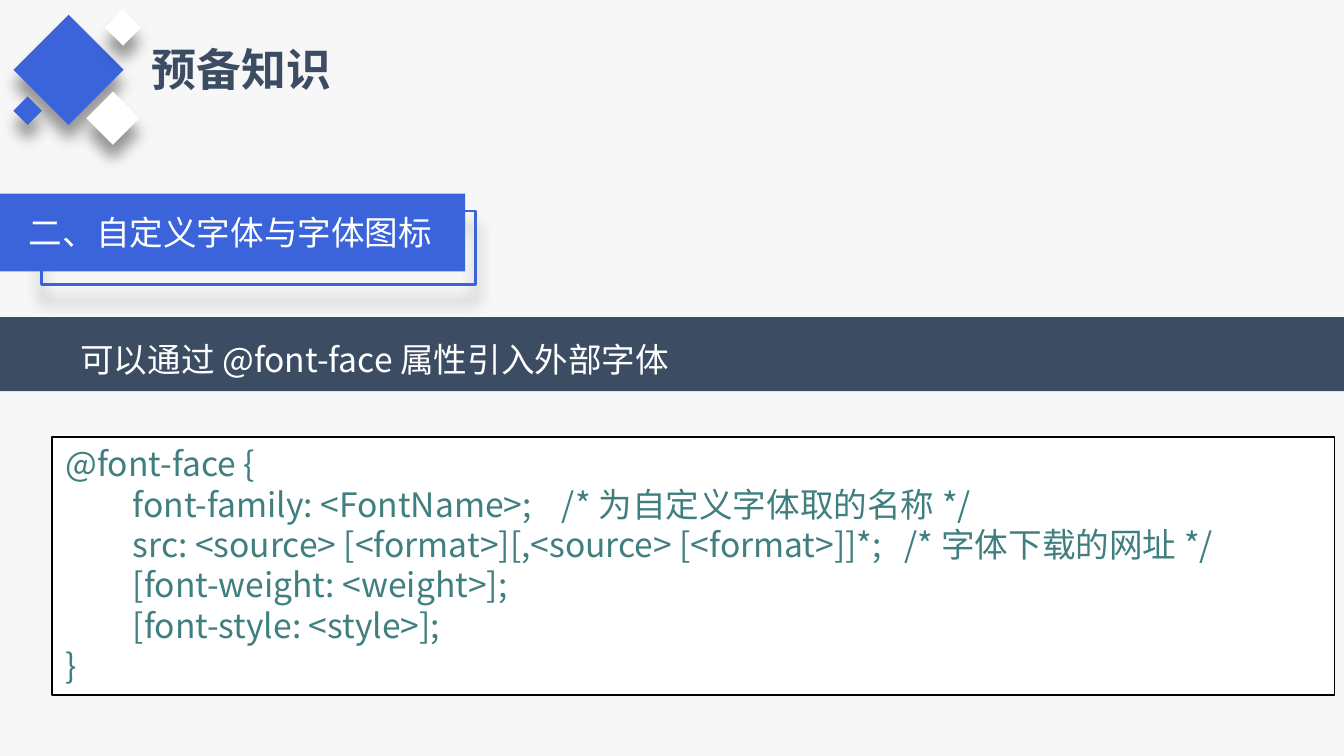
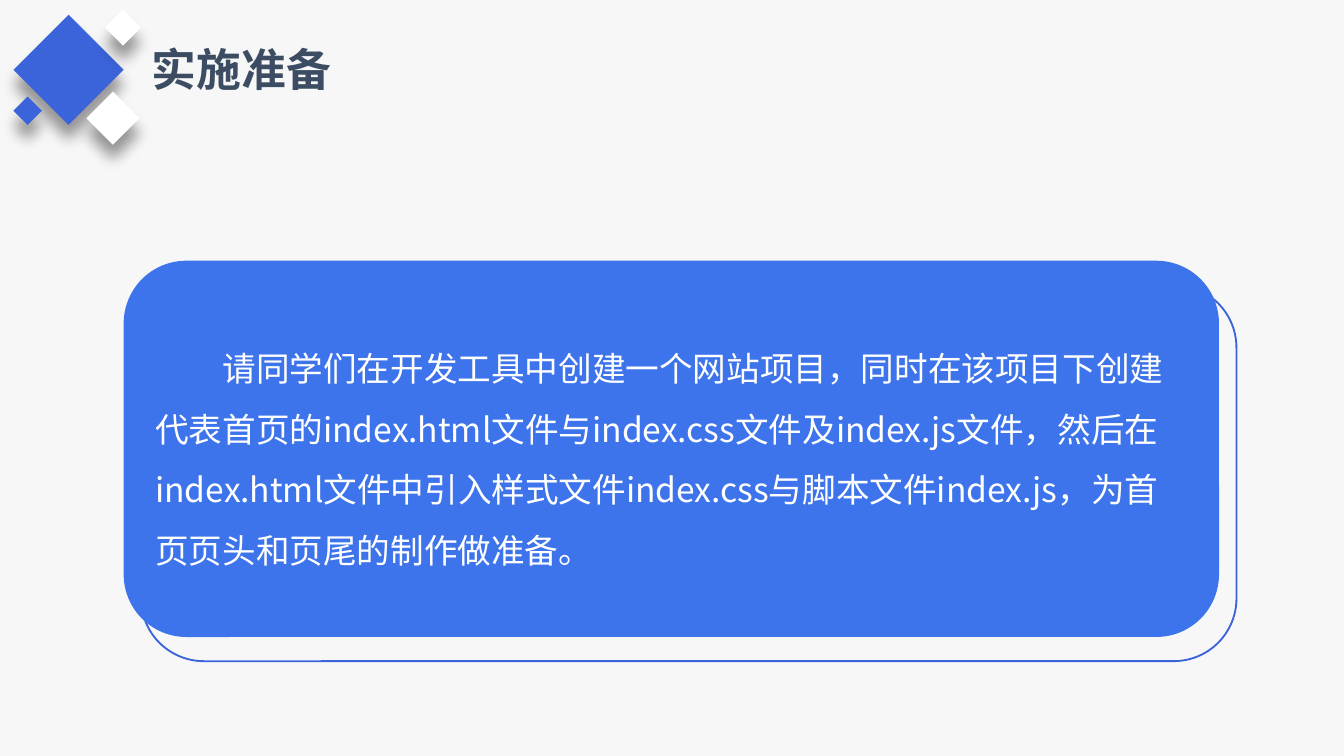
from lxml.etree import SubElement
from pptx import Presentation
from pptx.dml.color import RGBColor
from pptx.enum.shapes import MSO_SHAPE
from pptx.enum.text import MSO_ANCHOR, MSO_AUTO_SIZE, PP_ALIGN
from pptx.oxml.ns import qn
from pptx.util import Inches, Pt

FONT = "Noto Sans CJK SC"
BLUE = RGBColor(0x3B, 0x64, 0xDA)
BRIGHT_BLUE = RGBColor(0x3D, 0x74, 0xEB)
NAVY = RGBColor(0x3C, 0x4D, 0x63)
TEAL = RGBColor(0x3F, 0x7F, 0x7F)
WHITE = RGBColor(0xFF, 0xFF, 0xFF)
BLACK = RGBColor(0, 0, 0)
PAPER = RGBColor(0xF7, 0xF7, 0xF7)

# left, top, side, colour of each diamond beside the title
DIAMONDS = [
    (0.22, 0.23, 0.58, BLUE),
    (0.7, 0.74, 0.28, WHITE),
    (0.82, 0.11, 0.19, WHITE),
    (0.13, 0.75, 0.15, BLUE),
]

KNOWLEDGE_TITLE = "预备知识"
SECTION = "二、自定义字体与字体图标"
STATEMENT = "可以通过 @font-face 属性引入外部字体"
# indent level, line of code
CODE = [
    (0, "@font-face {"),
    (1, "font-family: <FontName>;    /* 为自定义字体取的名称 */"),
    (1, "src: <source> [<format>][,<source> [<format>]]*;   /* 字体下载的网址 */"),
    (1, "[font-weight: <weight>];"),
    (1, "[font-style: <style>];"),
    (0, "}"),
]

PREPARATION_TITLE = "实施准备"
TASK = (
    "请同学们在开发工具中创建一个网站项目，同时在该项目下创建代表首页的"
    "index.html文件与index.css文件及index.js文件，然后在index.html文件中引入"
    "样式文件index.css与脚本文件index.js，为首页页头和页尾的制作做准备。"
)
CARD_SIZE = (8.15, 2.8)


def add_shadow(shape):
    """Give the shape a soft black shadow straight below it."""
    effects = shape._element.spPr.find(qn("a:effectLst"))
    shadow = SubElement(effects, qn("a:outerShdw"), blurRad=str(Pt(8)), dist=str(Pt(8)),
                        dir="5400000", algn="t", rotWithShape="0")
    colour = SubElement(shadow, qn("a:srgbClr"), val=str(BLACK))
    SubElement(colour, qn("a:alpha"), val="40000")


def add_panel(page, area, fill=None, line=None, line_width=1,
              kind=MSO_SHAPE.RECTANGLE, shadow=False):
    panel = page.shapes.add_shape(kind, *map(Inches, area))
    panel.shadow.inherit = False
    if fill is None:
        panel.fill.background()
    else:
        panel.fill.solid()
        panel.fill.fore_color.rgb = fill
    if line is None:
        panel.line.fill.background()
    else:
        panel.line.color.rgb = line
        panel.line.width = Pt(line_width)
    if shadow:
        add_shadow(panel)
    return panel


def format_text(paragraph, size, colour, bold=False, align=PP_ALIGN.LEFT):
    paragraph.alignment = align
    for span in paragraph.runs:
        span.font.size = Pt(size)
        span.font.bold = bold
        span.font.color.rgb = colour
        span.font.name = FONT
        SubElement(span.font._element, qn("a:ea"), typeface=FONT)


def write_body(panel, text, align=PP_ALIGN.LEFT):
    frame = panel.text_frame
    frame.word_wrap = True
    frame.vertical_anchor = MSO_ANCHOR.MIDDLE
    frame.text = text
    paragraph = frame.paragraphs[0]
    format_text(paragraph, 18, WHITE, align=align)
    return paragraph


def open_paragraph(paragraph):
    """Indent the first line and space the lines out."""
    paragraph.line_spacing = 1.5
    paragraph._p.get_or_add_pPr().set("indent", str(Inches(0.5)))


def add_page(deck, title):
    page = deck.slides.add_slide(deck.slide_layouts[5])
    box = page.shapes.title
    box.left, box.top, box.width, box.height = map(Inches, (1.03, 0.26, 1.54, 0.5))
    frame = box.text_frame
    frame.text = title
    frame.word_wrap = False
    frame.auto_size = MSO_AUTO_SIZE.SHAPE_TO_FIT_TEXT
    frame.vertical_anchor = MSO_ANCHOR.TOP
    format_text(frame.paragraphs[0], 24, NAVY, bold=True)
    for left, top, side, colour in DIAMONDS:
        diamond = add_panel(page, (left, top, side, side), fill=colour, shadow=True)
        diamond.rotation = 45
    return page


def add_code(page):
    panel = add_panel(page, (0.39, 3.25, 9.54, 1.92), fill=WHITE, line=BLACK)
    frame = panel.text_frame
    frame.word_wrap = True
    frame.auto_size = MSO_AUTO_SIZE.SHAPE_TO_FIT_TEXT
    frame.vertical_anchor = MSO_ANCHOR.TOP
    frame.text = "\n".join(line for _, line in CODE)
    for paragraph, (level, _) in zip(frame.paragraphs, CODE):
        format_text(paragraph, 18, TEAL)
        paragraph.level = level
        properties = paragraph._p.get_or_add_pPr()
        properties.set("marL", str(Inches(0.5 * level)))
        properties.set("indent", "0")


def add_knowledge_page(deck):
    page = add_page(deck, KNOWLEDGE_TITLE)
    add_panel(page, (0.31, 1.57, 3.23, 0.55), line=BLUE, line_width=1.5, shadow=True)
    section = add_panel(page, (-0.03, 1.44, 3.49, 0.58), fill=BLUE)
    write_body(section, SECTION, PP_ALIGN.CENTER)
    band = add_panel(page, (0, 2.36, 10, 0.55), fill=NAVY)
    band.text_frame.margin_bottom = Inches(0.12)
    open_paragraph(write_body(band, STATEMENT))
    add_code(page)


def add_preparation_page(deck):
    page = add_page(deck, PREPARATION_TITLE)
    rounded = MSO_SHAPE.ROUNDED_RECTANGLE
    outline = add_panel(page, (1.05, 2.12, *CARD_SIZE), line=BLUE, kind=rounded)
    page.shapes.title._element.addprevious(outline._element)
    card = add_panel(page, (0.92, 1.94, *CARD_SIZE), fill=BRIGHT_BLUE, kind=rounded)
    open_paragraph(write_body(card, TASK))


def main():
    deck = Presentation()
    deck.slide_width = Inches(10)
    deck.slide_height = deck.slide_width * 9 // 16
    background = deck.slide_master.background.fill
    background.solid()
    background.fore_color.rgb = PAPER
    add_knowledge_page(deck)
    add_preparation_page(deck)
    deck.save("out.pptx")


if __name__ == "__main__":
    main()
